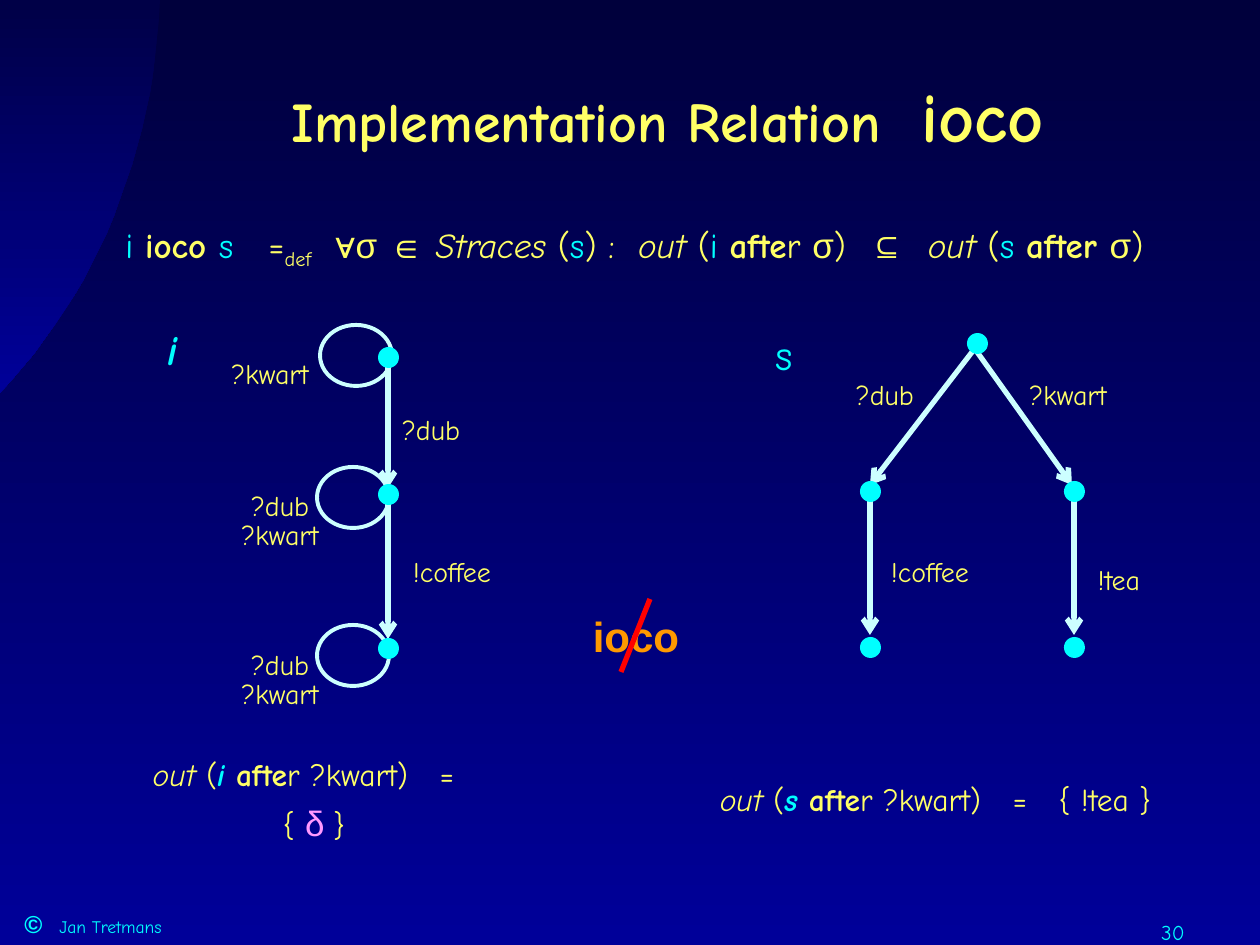
from lxml.etree import SubElement
from pptx import Presentation
from pptx.dml.color import RGBColor
from pptx.enum.shapes import MSO_CONNECTOR, MSO_SHAPE
from pptx.enum.text import MSO_ANCHOR, PP_ALIGN
from pptx.oxml.ns import qn
from pptx.util import Emu, Pt

PX = 914400 // 126
NAVY, BLUE, DARK = RGBColor(0, 0, 0x3C), RGBColor(0, 0, 0x99), RGBColor(0, 0, 0x47)
CYAN, PALE = RGBColor(0, 0xFF, 0xFF), RGBColor(0xCC, 0xFF, 0xFF)
YELLOW, PINK = RGBColor(0xFF, 0xFF, 0x66), RGBColor(0xFF, 0x99, 0xFF)
ORANGE, RED = RGBColor(0xFF, 0x99, 0), RGBColor(0xFF, 0, 0)
COMIC, ARIAL = "Comic Neue", "Arial"

STYLES = {
    "plain": (YELLOW, {"name": COMIC}),
    "bold": (YELLOW, {"name": COMIC, "bold": True}),
    "italic": (YELLOW, {"name": COMIC, "italic": True}),
    "math": (YELLOW, {"name": ARIAL}),
    "name": (CYAN, {"name": COMIC}),
    "strong": (CYAN, {"name": COMIC, "bold": True, "italic": True}),
    "mark": (CYAN, {"name": ARIAL, "bold": True}),
    "delta": (PINK, {"name": ARIAL}),
    "verdict": (ORANGE, {"name": ARIAL, "bold": True}),
}

TITLE = [("Implementation Relation  ", "bold", 32), ("ioco", "bold", 40)]
DEFINITION = [
    ("i ", "name"), ("ioco ", "bold"), ("s", "name"), ("   =", "plain"), ("def", "sub"),
    ("  ", "plain"), ("∀σ", "math"), (" ", "plain"), ("∈", "math"), (" ", "plain"),
    ("Straces ", "italic"), ("(", "plain"), ("s", "name"),
    (") :  ", "plain"), ("out ", "italic"), ("(", "plain"), ("i ", "name"),
    ("afte", "bold"), ("r ", "plain"), ("σ", "math"), (")  ", "plain"), ("⊆", "math"),
    ("  ", "plain"), ("out ", "italic"), ("(", "plain"), ("s ", "name"), ("after ", "bold"),
    ("σ", "math"), (")", "plain"),
]
OUT_I = [("out", "italic"), (" (", "plain"), ("i ", "strong"), ("afte", "bold"),
         ("r ?kwart)   =  \v{ ", "plain"), ("δ", "delta", 20), (" ", "math"), ("}", "plain")]
OUT_S = [("out", "italic"), (" (", "plain"), ("s ", "strong"), ("afte", "bold"),
         ("r ?kwart)   =   { !tea }", "plain")]

# centre x, centre y, lines
EDGE_LABELS = [
    (270, 370, ["?kwart"]), (431, 426, ["?dub"]), (452, 568, ["!coffee"]),
    (280, 515, ["?dub", "?kwart"]), (280, 674, ["?dub", "?kwart"]),
    (885, 391, ["?dub"]), (1068, 391, ["?kwart"]), (930, 568, ["!coffee"]),
    (1119, 576, ["!tea"]),
]
HEADINGS = [(173, 343, "i", "strong"), (784, 348, "s", "name"), (636, 630, "ioco", "verdict")]
LOOPS = [(320, 325), (317, 467), (317, 625)]
ARROWS = [
    (388, 504, 388, 639), (388, 354, 388, 488),
    (870, 501, 870, 635), (975, 349, 1072, 485), (979, 343, 870, 485), (1074, 501, 1074, 635),
]
STATES = [(388, 357), (388, 494), (388, 648), (977, 343), (870, 491), (1074, 491),
          (870, 647), (1074, 647)]
ARC = [(-1, 393), (96, 295), (154, 151), (160, -1)]


def px(*values):
    return [Emu(v * PX) for v in values]


def add_runs(p, runs, size):
    for text, style, *own in runs:
        color, fmt = STYLES["plain" if style == "sub" else style]
        for i, part in enumerate(text.split("\v")):
            if i:
                p.add_line_break()
            r = p.add_run()
            r.text = part
            for key, value in {**fmt, "size": Pt(own[0] if own else size)}.items():
                setattr(r.font, key, value)
            r.font.color.rgb = color
            if style == "sub":
                r.font._element.set("baseline", "-25000")


def add_text(box, lines, size, align=PP_ALIGN.CENTER, wrap=False, spacing=(1.2, 0.6)):
    sp = slide.shapes.add_textbox(*px(*box))
    tf = sp.text_frame
    tf.word_wrap = wrap
    tf.vertical_anchor = MSO_ANCHOR.MIDDLE if align == PP_ALIGN.CENTER else MSO_ANCHOR.TOP
    for i, runs in enumerate(lines):
        p = tf.add_paragraph() if i else tf.paragraphs[0]
        p.alignment = align
        p.line_spacing = spacing[i]
        if i:
            p.space_before = Pt(4)
        add_runs(p, runs, size)
    return tf


def add_line(ends, color, arrow=False):
    line = slide.shapes.add_connector(MSO_CONNECTOR.STRAIGHT, *px(*ends))
    line.line.color.rgb = color
    line.line.width = Pt(3)
    if arrow:
        SubElement(line.line._get_or_add_ln(), qn("a:tailEnd"), type="arrow")
    SubElement(line._element.spPr, qn("a:effectLst"))


def add_gradient(fill, colors):
    fill.gradient()
    fill.gradient_angle = 270
    for stop, color, position in zip(fill.gradient_stops, colors, (0, 1)):
        stop.color.rgb = color
        stop.position = position


def bezier(t):
    weights = ((1 - t) ** 3, 3 * t * (1 - t) ** 2, 3 * t * t * (1 - t), t ** 3)
    return [max(0, round(sum(w * pt[k] for w, pt in zip(weights, ARC)))) for k in (0, 1)]


prs = Presentation()
prs.slide_width, prs.slide_height = px(1260, 945)
slide = prs.slides.add_slide(prs.slide_layouts[5])
add_gradient(slide.background.fill, (NAVY, BLUE))

builder = slide.shapes.build_freeform(0, 0, scale=PX)
builder.add_line_segments([bezier(i / 24) for i in range(25)])
corner = builder.convert_to_shape()
corner.shadow.inherit = False
corner.line.fill.background()
add_gradient(corner.fill, (DARK, BLUE))

title = slide.shapes.title
title.left, title.top, title.width, title.height = px(132, 35, 1071, 158)
title.text_frame.vertical_anchor = MSO_ANCHOR.MIDDLE
title.text_frame.paragraphs[0].alignment = PP_ALIGN.CENTER
add_runs(title.text_frame.paragraphs[0], TITLE, 32)

add_text((113, 217, 1109, 60), [DEFINITION], 20, PP_ALIGN.LEFT, True, (1,))

for x, y in LOOPS:
    sp = slide.shapes.add_shape(MSO_SHAPE.OVAL, *px(x, y, 72, 61))
    sp.shadow.inherit = False
    sp.fill.background()
    sp.line.color.rgb = PALE
    sp.line.width = Pt(2.25)
for ends in ARROWS:
    add_line(ends, PALE, True)
for x, y in STATES:
    sp = slide.shapes.add_shape(MSO_SHAPE.FLOWCHART_CONNECTOR, *px(x - 10, y - 10, 21, 21))
    sp.shadow.inherit = False
    sp.fill.solid()
    sp.fill.fore_color.rgb = CYAN
    sp.line.fill.background()

for x, y, lines in EDGE_LABELS:
    h = 53 if len(lines) == 1 else 81
    add_text((x - 55, y - h // 2, 110, h), [[(line, "plain")] for line in lines], 16)
for x, y, text, style in HEADINGS:
    add_text((x - 80, y - 36, 160, 73), [[(text, style)]], 24)
add_line((650, 599, 621, 672), RED)

add_text((105, 764, 418, 63), [OUT_I], 18)
add_text((707, 766, 457, 58), [OUT_S], 18)

footer = add_text((12, 903, 617, 42), [[("©", "mark", 14), ("\tJan Tretmans", "name", 10)]],
                  10, PP_ALIGN.LEFT, True, (1,))
tabs = SubElement(footer.paragraphs[0]._p.get_or_add_pPr(), qn("a:tabLst"))
SubElement(tabs, qn("a:tab"), pos=str(35 * PX), algn="l")
add_text((1081, 913, 116, 31), [[("30", "name")]], 12, PP_ALIGN.RIGHT, True, (1,))

prs.save("out.pptx")
